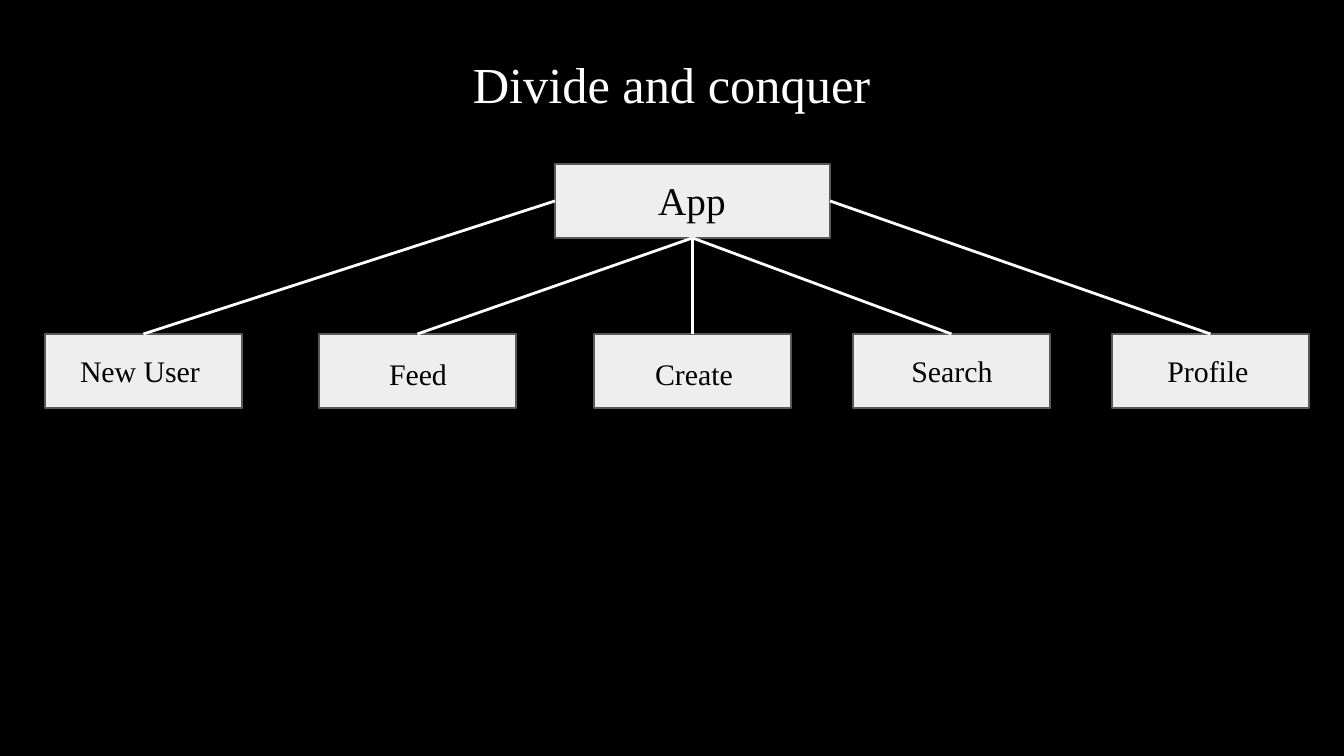
"""Build the "Divide and conquer" slide: one app box split into five parts."""
from pptx import Presentation
from pptx.dml.color import RGBColor
from pptx.enum.shapes import MSO_CONNECTOR as Connector, MSO_SHAPE as Shape
from pptx.enum.text import MSO_ANCHOR as Anchor, PP_ALIGN as Align
from pptx.oxml.ns import qn
from pptx.util import Pt
from lxml.etree import SubElement

PX = 914400 / 134.4
BOTTOM, LEFT, RIGHT, TOP = 2, 1, 3, 0

deck = Presentation()
deck.slide_width, deck.slide_height = round(1344 * PX), round(756 * PX)
page = deck.slides.add_slide(deck.slide_layouts[6])


def paint(fill, color):
    fill.solid()
    fill.fore_color.rgb = RGBColor.from_string(color)


def add_text(text, *, left, top, width=234, height=67, size=16, color="000000"):
    box = page.shapes.add_textbox(*(round(n * PX) for n in (left, top, width, height)))
    frame = box.text_frame
    frame.word_wrap = True
    frame.vertical_anchor = Anchor.TOP
    frame.margin_left = frame.margin_right = frame.margin_top = frame.margin_bottom = Pt(7.2)
    para = frame.paragraphs[0]
    para.alignment = Align.CENTER
    para.line_spacing = 1.15
    span = para.add_run()
    span.text = text
    span.font.name = "Times New Roman"
    span.font.size = Pt(size)
    paint(span.font.fill, color)


paint(page.background.fill, "000000")
add_text("Divide and conquer", left=396, top=31, width=551, size=27, color="FFFFFF")

parts = [
    ("New User", 45, 23, 334, LEFT),
    ("Feed", 319, 301, 337, BOTTOM),
    ("Create", 594, 577, 337, BOTTOM),
    ("Search", 853, 835, 334, BOTTOM),
    ("Profile", 1112, 1091, 334, RIGHT),
]

boxes = []
for left, top, width in [(555, 164, 275)] + [(part[1], 334, 197) for part in parts]:
    box = page.shapes.add_shape(Shape.RECTANGLE, *(round(n * PX) for n in (left, top, width, 74)))
    box.shadow.inherit = False
    paint(box.fill, "EEEEEE")
    paint(box.line.fill, "595959")
    box.line.width = Pt(0.75)
    boxes.append(box)

app_box, *part_boxes = boxes
for part_box, (*_, side) in zip(part_boxes, parts):
    link = page.shapes.add_connector(Connector.STRAIGHT, 0, 0, 0, 0)
    link.begin_connect(app_box, side)
    link.end_connect(part_box, TOP)
    paint(link.line.fill, "FFFFFF")
    link.line.width = Pt(1.5)
    SubElement(link._element.spPr, qn("a:effectLst"))

add_text("App", left=575, top=156, height=46, size=21)
for label, _, left, top, _ in parts:
    add_text(label, left=left, top=top)

deck.save("out.pptx")
